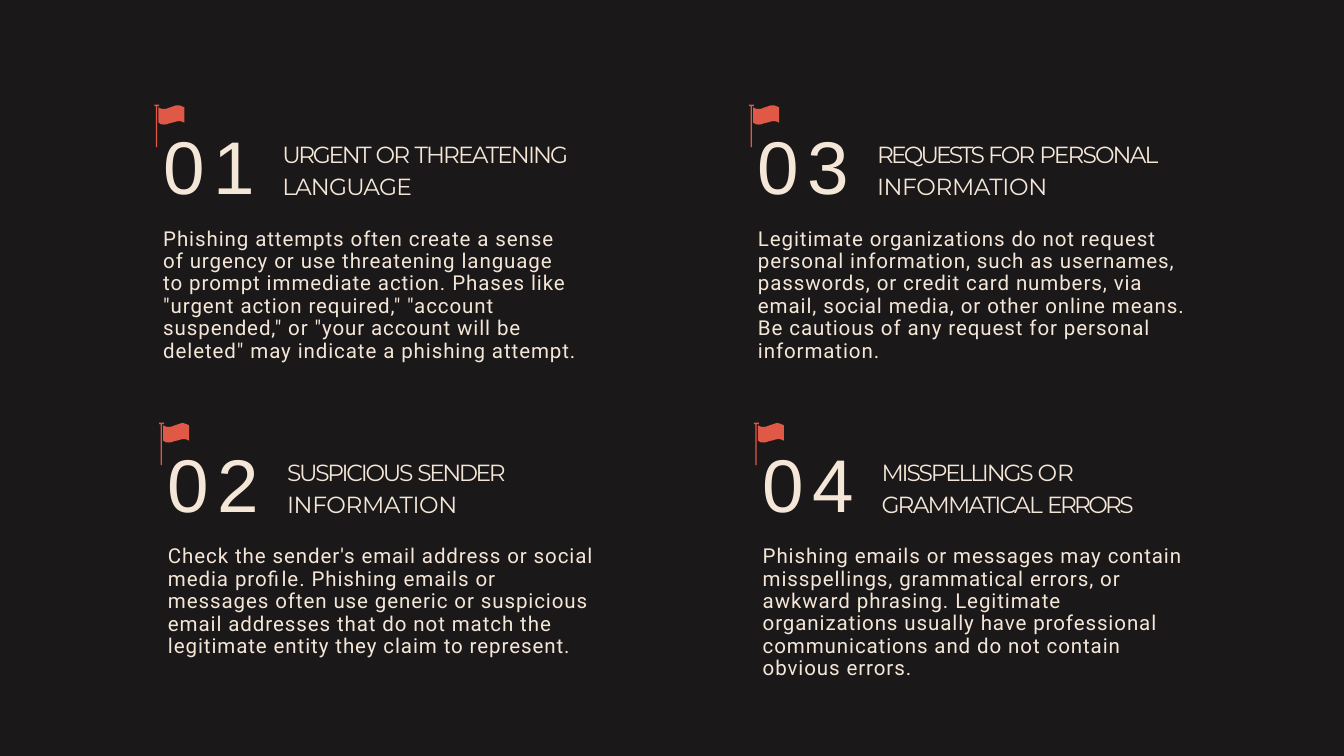
from dataclasses import dataclass

from pptx import Presentation
from pptx import util as u
from pptx.dml.color import RGBColor
from pptx.enum import text


@dataclass(frozen=True)
class TextStyle:
    font: str
    size: float
    line_spacing: object
    space_before: float
    top_inset: float


@dataclass(frozen=True)
class Theme:
    background: RGBColor = RGBColor(0x1B, 0x18, 0x1A)
    flag: RGBColor = RGBColor(0xDF, 0x59, 0x46)
    ink: RGBColor = RGBColor(0xF5, 0xE7, 0xD8)
    number: TextStyle = TextStyle("Arial", 80, 1.0, 1, 0.03)
    heading: TextStyle = TextStyle("Montserrat", 25, 1.15, 1, 0.03)
    body: TextStyle = TextStyle("Roboto", 22, u.Pt(24), 3.8, 0.13)


# Flag outlines in hundredths of a centimetre
POLE = [(18, 0), (0, 0), (0, 5), (5, 5), (5, 160), (10, 160), (10, 5), (18, 5)]
CLOTH = [
    (113, 10), (102, 5), (93, 2), (83, 2), (74, 5), (53, 12), (46, 15),
    (36, 16), (25, 15), (15, 10), (15, 68), (25, 74), (36, 75), (46, 74),
    (53, 71), (74, 66), (83, 63), (93, 62), (102, 63), (113, 68),
]
INDENT = 0.03
NUMBER_TRACKING = 8.9
BODY_TRACKING = 1.0


class SlideWriter:
    def __init__(self, slide, theme):
        self.slide = slide
        self.theme = theme
        fill = slide.background.fill
        fill.solid()
        fill.fore_color.rgb = theme.background

    def flag(self, left, top):
        builder = self.slide.shapes.build_freeform(*POLE[0], scale=u.Cm(0.01))
        builder.add_line_segments(POLE[1:], close=True)
        builder.move_to(*CLOTH[0])
        builder.add_line_segments(CLOTH[1:], close=True)
        shape = builder.convert_to_shape(u.Cm(left), u.Cm(top))
        shape.shadow.inherit = False
        shape.fill.solid()
        shape.fill.fore_color.rgb = self.theme.flag
        shape.line.fill.background()

    def text_box(self, box, style, runs, indent=INDENT, shape=None):
        """Write one paragraph in a new text box, or in the placeholder given as shape."""
        lengths = [u.Cm(length) for length in box]
        if shape is None:
            shape = self.slide.shapes.add_textbox(*lengths)
        else:
            shape.left, shape.top, shape.width, shape.height = lengths
        frame = shape.text_frame
        frame.word_wrap = True
        frame.auto_size = text.MSO_AUTO_SIZE.SHAPE_TO_FIT_TEXT
        frame.vertical_anchor = text.MSO_ANCHOR.TOP
        frame.margin_left = frame.margin_right = frame.margin_bottom = 0
        frame.margin_top = u.Cm(style.top_inset)
        self.paragraph(frame.paragraphs[0], style, runs, indent)
        return frame

    def paragraph(self, paragraph, style, runs, indent=INDENT, space_before=None):
        """Fill a paragraph from (words, tracking in points) pairs."""
        paragraph.alignment = text.PP_ALIGN.LEFT
        paragraph.line_spacing = style.line_spacing
        paragraph.space_before = u.Pt(space_before or style.space_before)
        properties = paragraph._p.get_or_add_pPr()
        properties.set("marL", str(u.Cm(indent)))
        properties.set("indent", "0")
        for words, tracking in runs:
            run = paragraph.add_run()
            run.text = words
            run.font.name = style.font
            run.font.size = u.Pt(style.size)
            run.font.color.rgb = self.theme.ink
            run.font._element.set("spc", str(round(tracking * 100)))

    def warning_sign(self, sign, left, top, title=None):
        """Draw flag, number, heading and body; left and top are the flag's corner."""
        theme = self.theme
        text_left = left + 0.3
        heading_top = top + 1.14
        body_runs = [(sign["body"], BODY_TRACKING)]
        self.flag(left, top)
        self.text_box((text_left, top + 0.53, 3.89, 3.45), theme.number,
                      [(sign["number"], NUMBER_TRACKING)], shape=title)
        if sign.get("shared_box"):
            frame = self.text_box((text_left, heading_top, sign["body_width"], 7.77),
                                  theme.heading, sign["heading"], indent=4.52)
            self.paragraph(frame.add_paragraph(), theme.body, body_runs, space_before=29.4)
            return
        self.text_box((left + 4.8, heading_top, sign["heading_width"], 2.51),
                      theme.heading, sign["heading"])
        self.text_box((text_left, top + 4.52, sign["body_width"], sign["body_height"]),
                      theme.body, body_runs)


# Listed down each column in turn
SIGNS = [
    {
        "number": "01",
        "heading": [("URGENT ", -2.5), ("OR ", -1.9), ("THREATENING ", -2), ("LANGUAGE", -0.9)],
        "heading_width": 12.01,
        "body": "Phishing attempts often create a sense of urgency or use threatening "
                "language to prompt immediate action. Phases like \"urgent action "
                "required,\" \"account suspended,\" or \"your account will be deleted\" "
                "may indicate a phishing attempt.",
        "body_width": 15.75,
        "body_height": 5.23,
    },
    {
        "number": "02",
        "heading": [("SUSPICIOUS ", -2.4), ("SENDER ", -2.6), ("INFORMATION", -0.4)],
        "heading_width": 9.19,
        "body": "Check the sender's email address or social media profile. Phishing "
                "emails or messages often use generic or suspicious email addresses "
                "that do not match the legitimate entity they claim to represent.",
        "body_width": 16.31,
        "body_height": 4.39,
    },
    {
        "number": "03",
        "heading": [("REQUESTS ", -3), ("FOR ", -2.1), ("PERSONAL ", -2), ("INFORMATION", -0.4)],
        "heading_width": 11.71,
        "body": "Legitimate organizations do not request personal information, such as "
                "usernames, passwords, or credit card numbers, via email, social media, "
                "or other online means. Be cautious of any request for personal "
                "information.",
        "body_width": 16.23,
        "body_height": 5.23,
    },
    {
        "number": "04",
        "heading": [("MISSPELLINGS ", -2.3), ("OR ", -0.2), ("GRAMMATICAL ", -1.9), ("ERRORS", -2.9)],
        "body": "Phishing emails or messages may contain misspellings, grammatical "
                "errors, or awkward phrasing. Legitimate organizations usually have "
                "professional communications and do not contain obvious errors.",
        "body_width": 16.64,
        "shared_box": True,
    },
]


def main():
    presentation = Presentation()
    presentation.slide_width = u.Cm(50.8)
    presentation.slide_height = u.Cm(28.58)
    slide = presentation.slides.add_slide(presentation.slide_layouts[5])
    writer = SlideWriter(slide, Theme())
    for index, sign in enumerate(SIGNS):
        column, row = divmod(index, 2)
        left = 5.84 + 22.48 * column + 0.18 * row
        top = 3.96 + 12.02 * row
        writer.warning_sign(sign, left, top, slide.shapes.title if index == 0 else None)
    presentation.save("out.pptx")


if __name__ == "__main__":
    main()
